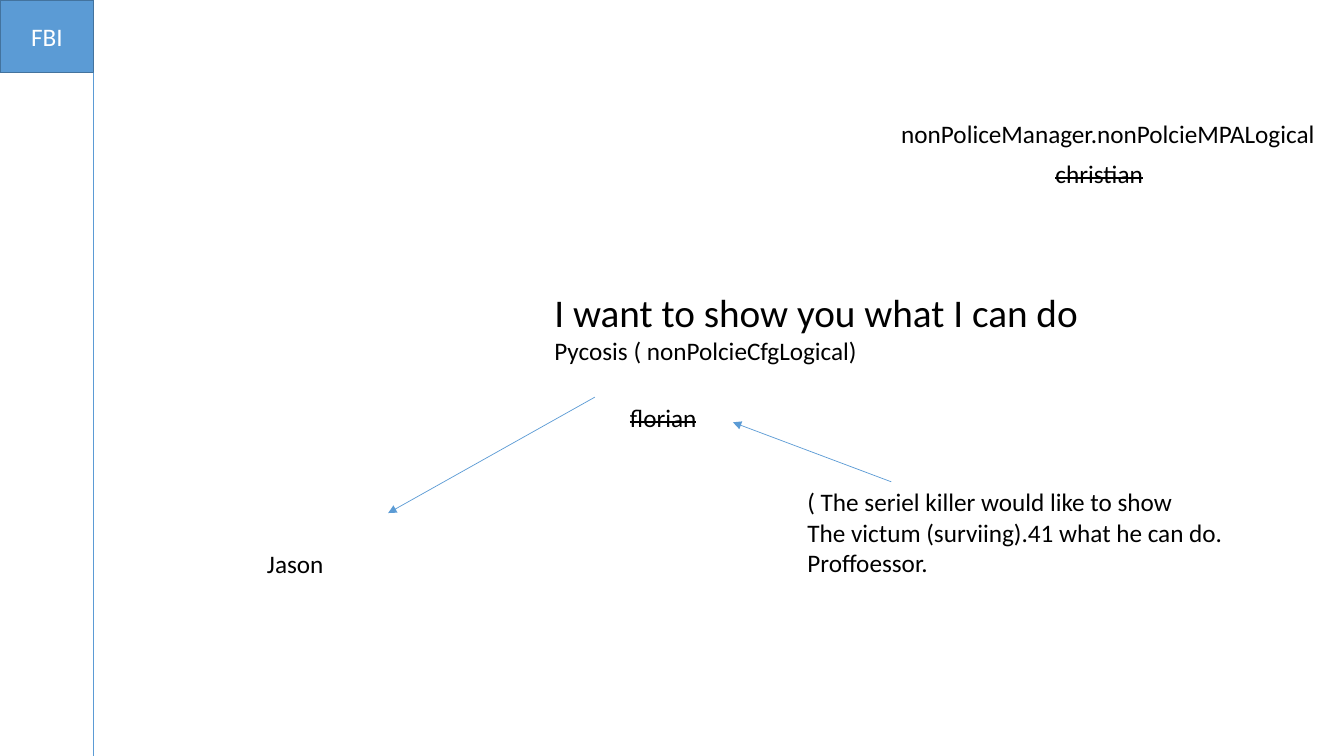
from pptx import Presentation
from pptx import util as u
from pptx.dml.color import RGBColor
from pptx.enum import shapes, text
from pptx.oxml.ns import qn
from lxml import etree

COLORS = {"blue": "5B9BD5", "edge": "43739E", "text": "000000", "white": "FFFFFF"}
FONT = "Calibri"
BODY, HEADING = 18, 28


class Board:
    """Holds the style and the current slide."""

    def __init__(self, slide):
        self.slide = slide

    def color(self, name):
        return RGBColor.from_string(COLORS[name])

    def add_run(self, paragraph, words, size=BODY, color="text", strike=False):
        run = paragraph.add_run()
        run.text = words
        run.font.name = FONT
        run.font.size = u.Pt(size)
        run.font.color.rgb = self.color(color)
        if strike:
            run._r.get_or_add_rPr().set("strike", "sngStrike")

    def label_box(self, left, top, width, height, words):
        shape = self.slide.shapes.add_shape(
            shapes.MSO_SHAPE.RECTANGLE, *map(u.Inches, (left, top, width, height)))
        shape.shadow.inherit = False
        shape.fill.solid()
        shape.fill.fore_color.rgb = self.color("blue")
        shape.line.color.rgb = self.color("edge")
        shape.line.width = u.Pt(1)
        shape.text_frame.vertical_anchor = text.MSO_ANCHOR.MIDDLE
        paragraph = shape.text_frame.paragraphs[0]
        paragraph.alignment = text.PP_ALIGN.CENTER
        self.add_run(paragraph, words, color="white")

    def note(self, left, top, width, height, lines, first_size=BODY, strike=False):
        box = self.slide.shapes.add_textbox(*map(u.Inches, (left, top, width, height)))
        frame = box.text_frame
        frame.word_wrap = False
        frame.auto_size = text.MSO_AUTO_SIZE.SHAPE_TO_FIT_TEXT
        for index, words in enumerate(lines):
            paragraph = frame.add_paragraph() if index else frame.paragraphs[0]
            self.add_run(paragraph, words, BODY if index else first_size, strike=strike)

    def line(self, start, end, arrow=False):
        connector = self.slide.shapes.add_connector(
            shapes.MSO_CONNECTOR.STRAIGHT, *map(u.Inches, (*start, *end)))
        connector.line.color.rgb = self.color("blue")
        connector.line.width = u.Pt(0.5)
        if arrow:
            tail = etree.SubElement(connector.line._get_or_add_ln(), qn("a:tailEnd"))
            tail.set("type", "triangle")
        etree.SubElement(connector._element.spPr, qn("a:effectLst"))


def main():
    presentation = Presentation()
    presentation.slide_width = u.Inches(13.33)
    presentation.slide_height = u.Inches(7.5)
    board = Board(presentation.slides.add_slide(presentation.slide_layouts[6]))

    # Corner label and margin line
    board.label_box(0, 0, 0.93, 0.72, "FBI")
    board.line((0.93, 7.5), (0.93, 0.72))

    # Central statement
    board.note(5.4, 2.81, 5.45, 0.88,
               ["I want to show you what I can do", "Pycosis ( nonPolcieCfgLogical)"],
               first_size=HEADING)

    # Names
    board.note(8.84, 1.12, 4.35, 0.4, ["nonPoliceManager.nonPolcieMPALogical"])
    board.note(6.15, 3.94, 0.87, 0.4, ["florian"], strike=True)
    board.note(10.37, 1.52, 1.08, 0.4, ["christian"], strike=True)
    board.note(2.55, 5.39, 0.77, 0.4, ["Jason"])

    # Explanation and arrows
    board.line((5.9, 3.94), (3.85, 5.09), arrow=True)
    board.note(7.91, 4.78, 4.37, 1.01,
               ["( The seriel killer would like to show",
                "The victum (surviing).41 what he can do.",
                "Proffoessor."])
    board.line((8.84, 4.78), (7.27, 4.19), arrow=True)

    presentation.save("out.pptx")


if __name__ == "__main__":
    main()
